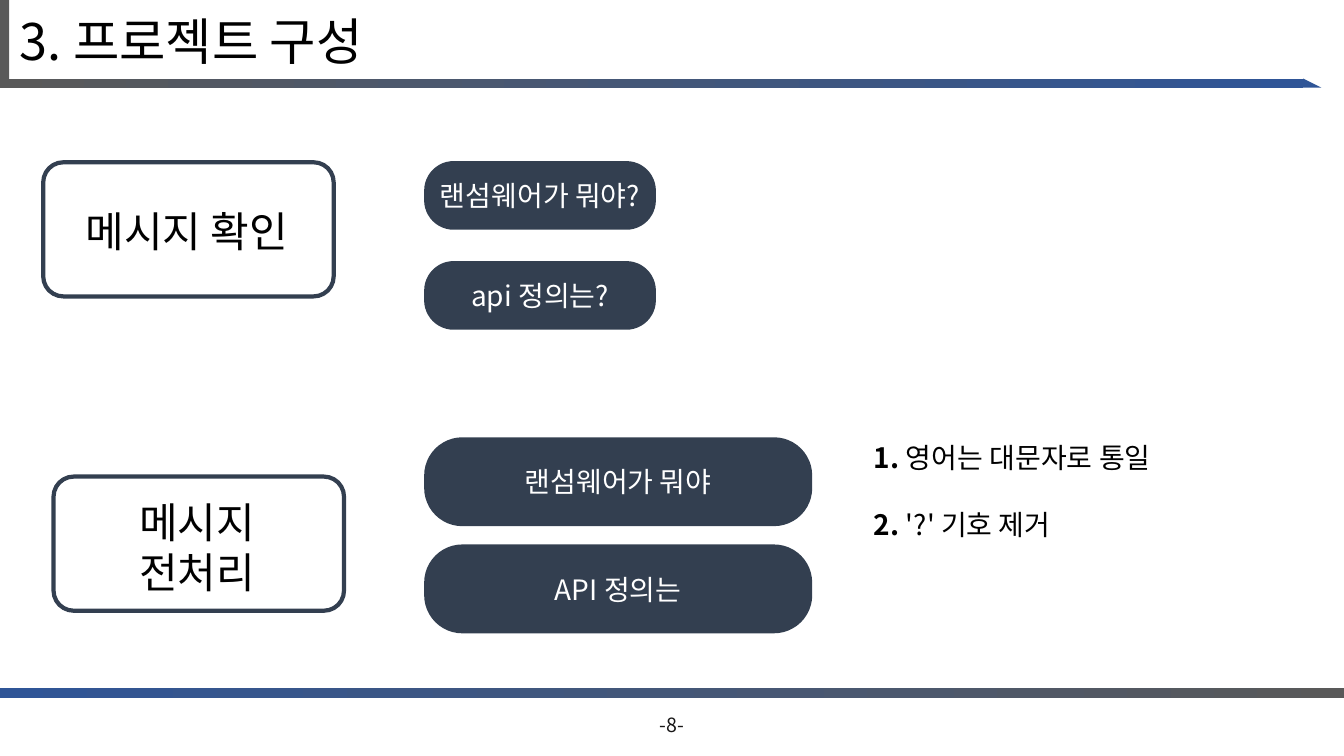
from dataclasses import dataclass

from lxml.etree import SubElement
from pptx import Presentation
from pptx.dml.color import RGBColor
from pptx.enum.shapes import MSO_SHAPE as Preset
from pptx.enum.text import MSO_ANCHOR as Anchor, MSO_AUTO_SIZE as AutoSize, PP_ALIGN as Align
from pptx.oxml.ns import qn
from pptx.shapes.autoshape import Shape
from pptx.slide import Slide
from pptx.text.text import TextFrame, _Paragraph as Paragraph
from pptx.util import Cm, Pt

FONT = "Noto Sans CJK KR"
COLORS = {
    "grey": "595959",
    "blue": "2F5597",
    "navy": "333F50",
    "black": "000000",
    "white": "FFFFFF",
    "page": "181717",
}


@dataclass(frozen=True)
class Box:
    left: float
    top: float
    width: float
    height: float

    def place(self, shape: Shape) -> None:
        shape.left, shape.top = Cm(self.left), Cm(self.top)
        shape.width, shape.height = Cm(self.width), Cm(self.height)


@dataclass(frozen=True)
class Bar:
    box: Box
    start: str
    end: str
    preset: Preset = Preset.RECTANGLE


@dataclass(frozen=True)
class Stage:
    label: str
    frame: Box
    label_box: Box


@dataclass(frozen=True)
class Message:
    text: str
    box: Box


BAR = 0.23
HEADER_TOP = 1.98
HEADER_WIDTH = 32.84
BARS = [
    Bar(Box(0, HEADER_TOP, HEADER_WIDTH, BAR), "grey", "blue"),
    Bar(Box(0, 0, BAR, HEADER_TOP + BAR), "grey", "grey"),
    Bar(Box(HEADER_WIDTH, HEADER_TOP, 0.46, BAR), "blue", "blue", Preset.RIGHT_TRIANGLE),
    Bar(Box(0, 17.35, 33.87, BAR), "blue", "grey"),
]
STAGES = [
    Stage("메시지 확인", Box(1.09, 4.09, 7.32, 3.38), Box(1.6, 5.03, 6.22, 1.55)),
    Stage("메시지 전처리", Box(1.35, 12.01, 7.32, 3.38), Box(1.92, 13, 6.1, 1.55)),
]
MESSAGE_LEFT = 10.69
MESSAGES = [
    Message("랜섬웨어가 뭐야?", Box(MESSAGE_LEFT, 4.06, 5.84, 1.73)),
    Message("api 정의는?", Box(MESSAGE_LEFT, 6.58, 5.84, 1.73)),
    Message("랜섬웨어가 뭐야", Box(MESSAGE_LEFT, 11.02, 9.78, 2.24)),
    Message("API 정의는", Box(MESSAGE_LEFT, 13.72, 9.78, 2.24)),
]
RULES = [("1. ", "영어는 대문자로 통일"), ("2. ", "'?' 기호 제거")]


def rgb(name: str) -> RGBColor:
    return RGBColor.from_string(COLORS[name])


def add_run(paragraph: Paragraph, text: str, size: int, color: str, bold: bool = False) -> None:
    run = paragraph.add_run()
    run.text = text
    font = run.font
    font.size, font.bold, font.name = Pt(size), bold, FONT
    font.color.rgb = rgb(color)
    SubElement(font._element, qn("a:ea"), typeface=FONT)


def write_centred(frame: TextFrame, text: str, size: int, color: str) -> None:
    frame.vertical_anchor = Anchor.MIDDLE
    paragraph = frame.paragraphs[0]
    paragraph.alignment = Align.CENTER
    add_run(paragraph, text, size, color)


def add_preset(slide: Slide, preset: Preset, box: Box) -> Shape:
    shape = slide.shapes.add_shape(preset, 0, 0, 0, 0)
    box.place(shape)
    shape.shadow.inherit = False
    shape.line.fill.background()
    return shape


def add_bar(slide: Slide, bar: Bar) -> None:
    fill = add_preset(slide, bar.preset, bar.box).fill
    if bar.start == bar.end:
        fill.solid()
        fill.fore_color.rgb = rgb(bar.start)
        return
    fill.gradient()
    fill.gradient_angle = 0
    for stop, color in zip(fill.gradient_stops, (bar.start, bar.end)):
        stop.color.rgb = rgb(color)


def add_label(slide: Slide, box: Box, text: str, size: int, color: str) -> None:
    label = slide.shapes.add_textbox(0, 0, 0, 0)
    box.place(label)
    label.text_frame.word_wrap = True
    write_centred(label.text_frame, text, size, color)


def add_stage(slide: Slide, stage: Stage) -> None:
    frame = add_preset(slide, Preset.ROUNDED_RECTANGLE, stage.frame)
    frame.adjustments[0] = 0.15
    frame.fill.background()
    frame.line.color.rgb = rgb("navy")
    frame.line.width = Pt(3)
    add_label(slide, stage.label_box, stage.label, 30, "black")


def add_message(slide: Slide, message: Message) -> None:
    pill = add_preset(slide, Preset.ROUNDED_RECTANGLE, message.box)
    pill.adjustments[0] = 0.43
    pill.fill.solid()
    pill.fill.fore_color.rgb = rgb("navy")
    pill.text_frame.word_wrap = False
    write_centred(pill.text_frame, message.text, 20, "white")


def fill_title(slide: Slide) -> None:
    title = slide.shapes.title
    Box(0.25, 0.1, 27.28, 2.03).place(title)
    frame = title.text_frame
    frame.auto_size = AutoSize.NONE
    frame.vertical_anchor = Anchor.MIDDLE
    paragraph = frame.paragraphs[0]
    paragraph.alignment = Align.LEFT
    paragraph.line_spacing = 0.9
    add_run(paragraph, "3. 프로젝트 구성", 36, "black")


def fill_rules(slide: Slide) -> None:
    body = slide.placeholders[1]
    Box(21.77, 10.97, 7.82, 2.82).place(body)
    frame = body.text_frame
    frame.auto_size = AutoSize.NONE
    for index, (number, rule) in enumerate(RULES):
        paragraph = frame.add_paragraph() if index else frame.paragraphs[0]
        paragraph.space_before = Pt(24 if index else 0)
        properties = paragraph._p.get_or_add_pPr()
        properties.set("marL", "0")
        properties.set("indent", "0")
        SubElement(properties, qn("a:buNone"))
        add_run(paragraph, number, 20, "black", bold=True)
        add_run(paragraph, rule, 20, "black")


def main() -> None:
    presentation = Presentation()
    presentation.slide_width, presentation.slide_height = Cm(33.87), Cm(19.05)
    slide = presentation.slides.add_slide(presentation.slide_layouts[1])
    for bar in BARS:
        add_bar(slide, bar)
    fill_title(slide)
    for stage in STAGES:
        add_stage(slide, stage)
    for message in MESSAGES:
        add_message(slide, message)
    fill_rules(slide)
    add_label(slide, Box(13.13, 17.75, 7.62, 1.02), "-8-", 14, "page")
    presentation.save("out.pptx")


if __name__ == "__main__":
    main()
